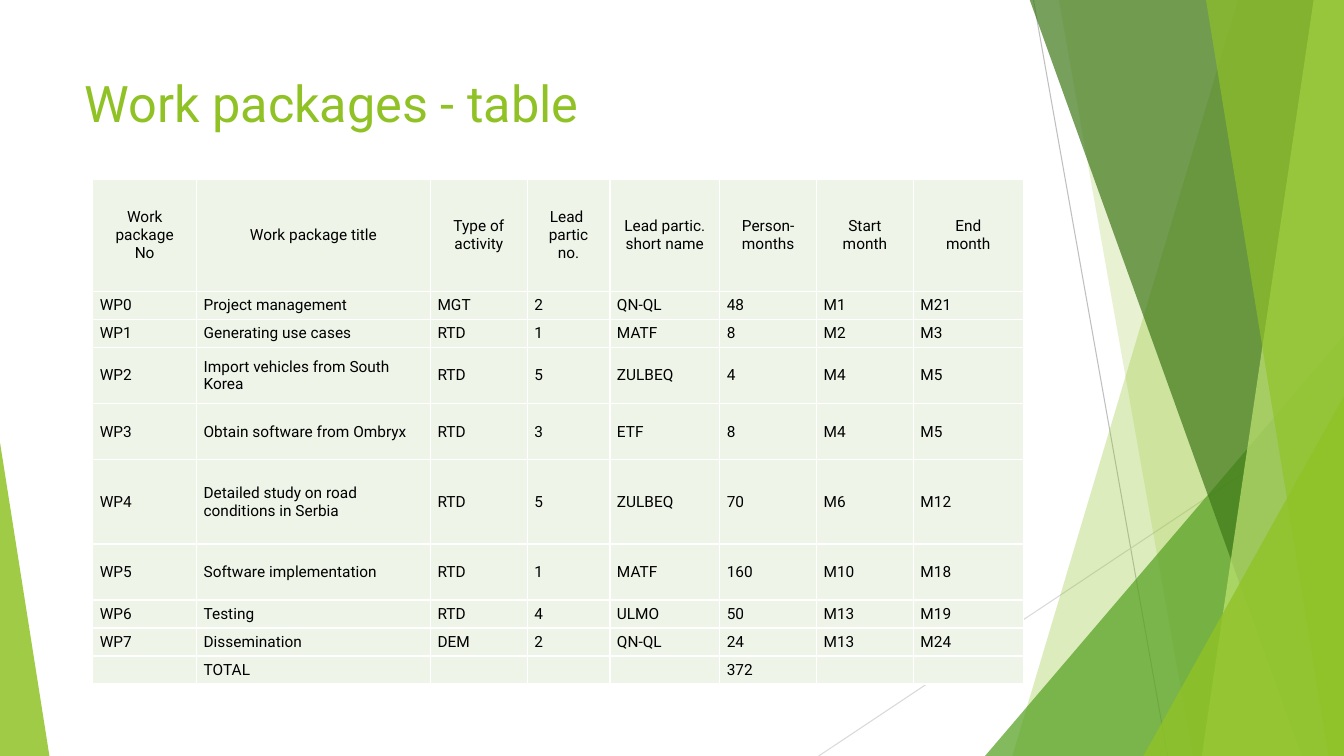
import pptx
import pptx.dml.color
import pptx.enum.shapes
import pptx.enum.text
import pptx.oxml.ns
import pptx.util
from lxml import etree

Inches, Pt = pptx.util.Inches, pptx.util.Pt
RGBColor = pptx.dml.color.RGBColor
MSO_SHAPE = pptx.enum.shapes.MSO_SHAPE
PP_ALIGN = pptx.enum.text.PP_ALIGN
MSO_ANCHOR = pptx.enum.text.MSO_ANCHOR
qn = pptx.oxml.ns.qn

FONT = "Roboto"
LIME = RGBColor(0x90, 0xC2, 0x26)
GREEN = RGBColor(0x54, 0xA0, 0x21)
DARK_GREEN = RGBColor(0x3F, 0x78, 0x19)
PALE_LIME = RGBColor(0xC0, 0xE4, 0x74)
CELL_FILL = RGBColor(0xEE, 0xF4, 0xE8)
GREY = RGBColor(0xBF, 0xBF, 0xBF)
LIGHT_GREY = RGBColor(0xD9, 0xD9, 0xD9)
WHITE = RGBColor(0xFF, 0xFF, 0xFF)
BLACK = RGBColor(0, 0, 0)

WIDTH, HEIGHT, TOP = 13.33, 7.5, -0.01

TITLE = "Work packages - table"
HEADER = ["Work package\nNo", "Work package title", "Type of activity",
          "Lead \npartic\nno.", "Lead partic. short name", "Person-months",
          "Start\nmonth", "End\nmonth"]
PACKAGES = [
    ["WP0", "Project management", "MGT", "2", "QN-QL", "48", "M1", "M21"],
    ["WP1", "Generating use cases", "RTD", "1", "MATF", "8", "M2", "M3"],
    ["WP2", "Import vehicles from South Korea", "RTD", "5", "ZULBEQ", "4", "M4", "M5"],
    ["WP3", "Obtain software from Ombryx", "RTD", "3", "ETF", "8", "M4", "M5"],
    ["WP4", "Detailed study on road conditions in Serbia", "RTD", "5", "ZULBEQ", "70",
     "M6", "M12"],
    ["WP5", "Software implementation", "RTD", "1", "MATF", "160", "M10", "M18"],
    ["WP6", "Testing", "RTD", "4", "ULMO", "50", "M13", "M19"],
    ["WP7", "Dissemination", "DEM", "2", "QN-QL", "24", "M13", "M24"],
    ["", "TOTAL", "", "", "", "372", "", ""],
]
TABLE_LEFT, TABLE_TOP, TABLE_HEIGHT = 0.92, 1.78, 5.01
COL_WIDTHS = [1.03, 2.32, 0.96, 0.82, 1.09, 0.96, 0.96, 1.09]
ROW_UNITS = [4, 1, 1, 2, 2, 3, 2, 1, 1, 1]

RAYS = [  # start, end, colour
    ((10.25, 0), (11.58, HEIGHT), GREY),
    ((WIDTH, 4.03), (8.12, HEIGHT), LIGHT_GREY),
]
# Bands reach the right edge: (top x, bottom x, colour, opacity %)
# Triangles stand on the bottom edge: (left, top, width, apex, colour, opacity %)
FACETS = [
    ("band", 12.28, 10.04, LIME, 30),
    ("band", 10.5, 11.83, LIME, 20),
    ("triangle", 9.77, 3.33, 3.56, 1, GREEN, 72),
    ("band", 10.21, 12.91, DARK_GREEN, 70),
    ("band", 13.03, 11.92, PALE_LIME, 70),
    ("band", 11.96, 13.18, LIME, 65),
    ("triangle", 11.34, 3.93, 1.99, 1, LIME, 80),
    ("triangle", 0, 4.39, 0.49, 0, LIME, 85),
]


def paint(sp, color, opacity):
    sp.shadow.inherit = False
    sp.line.fill.background()
    sp.fill.solid()
    sp.fill.fore_color.rgb = color
    srgb = sp.fill._xPr.find(".//" + qn("a:srgbClr"))
    etree.SubElement(srgb, qn("a:alpha")).set("val", str(opacity * 1000))


def add_ray(shapes, start, end, color):
    line = shapes.add_connector(pptx.enum.shapes.MSO_CONNECTOR.STRAIGHT,
                                *map(Inches, start + end))
    line.line.color.rgb = color
    line.line.width = Pt(0.75)
    etree.SubElement(line._element.spPr, qn("a:effectLst"))


def add_band(shapes, top_x, bottom_x, color, opacity):
    corners = [(top_x, TOP), (WIDTH, TOP), (WIDTH, HEIGHT), (bottom_x, HEIGHT)]
    points = [(Inches(x), Inches(y)) for x, y in corners]
    builder = shapes.build_freeform(*points[0])
    builder.add_line_segments(points[1:], close=True)
    paint(builder.convert_to_shape(), color, opacity)


def add_triangle(shapes, left, top, width, apex, color, opacity):
    sp = shapes.add_shape(MSO_SHAPE.ISOSCELES_TRIANGLE, Inches(left), Inches(top),
                          Inches(width), Inches(HEIGHT - top))
    sp.adjustments[0] = apex
    paint(sp, color, opacity)


def add_borders(cell):
    tcPr = cell._tc.get_or_add_tcPr()
    for i, side in enumerate(("lnL", "lnR", "lnT", "lnB")):
        ln = etree.Element(qn("a:" + side), w=str(Pt(1)))
        fill = etree.SubElement(ln, qn("a:solidFill"))
        etree.SubElement(fill, qn("a:srgbClr")).set("val", str(WHITE))
        tcPr.insert(i, ln)


def format_runs(p, size, color):
    for r in p.runs:
        r.font.name = FONT
        r.font.size = Pt(size)
        r.font.bold = False
        r.font.color.rgb = color


def fill_cell(cell, text, is_header, is_spaced):
    cell.fill.solid()
    cell.fill.fore_color.rgb = CELL_FILL
    add_borders(cell)
    cell.vertical_anchor = MSO_ANCHOR.MIDDLE
    cell.margin_left = cell.margin_right = Inches(0.07)
    cell.margin_top = cell.margin_bottom = 0
    p = cell.text_frame.paragraphs[0]
    p.text = text
    p.alignment = PP_ALIGN.CENTER if is_header else PP_ALIGN.LEFT
    if is_spaced:
        p.space_before = p.space_after = Pt(6)
    format_runs(p, 11, BLACK)
    if not text:
        etree.SubElement(p._p, qn("a:endParaRPr")).set("sz", "1100")


def add_package_table(shapes):
    rows = [HEADER] + PACKAGES
    frame = shapes.add_table(len(rows), len(HEADER), Inches(TABLE_LEFT), Inches(TABLE_TOP),
                             Inches(sum(COL_WIDTHS)), Inches(TABLE_HEIGHT))
    table = frame.table
    for column, width in zip(table.columns, COL_WIDTHS):
        column.width = Inches(width)
    for i, (row, units) in enumerate(zip(rows, ROW_UNITS)):
        table.rows[i].height = Inches(TABLE_HEIGHT * units / sum(ROW_UNITS))
        for j, text in enumerate(row):
            is_spaced = i > 0 and (j > 1 or text == "TOTAL")
            fill_cell(table.cell(i, j), text, i == 0, is_spaced)


def main():
    prs = pptx.Presentation()
    prs.slide_width, prs.slide_height = Inches(WIDTH), Inches(HEIGHT)
    s = prs.slides.add_slide(prs.slide_layouts[5])

    for ray in RAYS:
        add_ray(s.shapes, *ray)
    for kind, *facet in FACETS:
        add = add_band if kind == "band" else add_triangle
        add(s.shapes, *facet)

    title = s.shapes.title
    title.left, title.top = Inches(0.74), Inches(0.67)
    title.width, title.height = Inches(9.4), Inches(1.44)
    tf = title.text_frame
    tf.text = TITLE
    tf.vertical_anchor = MSO_ANCHOR.TOP
    tf.paragraphs[0].alignment = PP_ALIGN.LEFT
    format_runs(tf.paragraphs[0], 36, LIME)

    add_package_table(s.shapes)
    prs.save("out.pptx")


if __name__ == "__main__":
    main()
